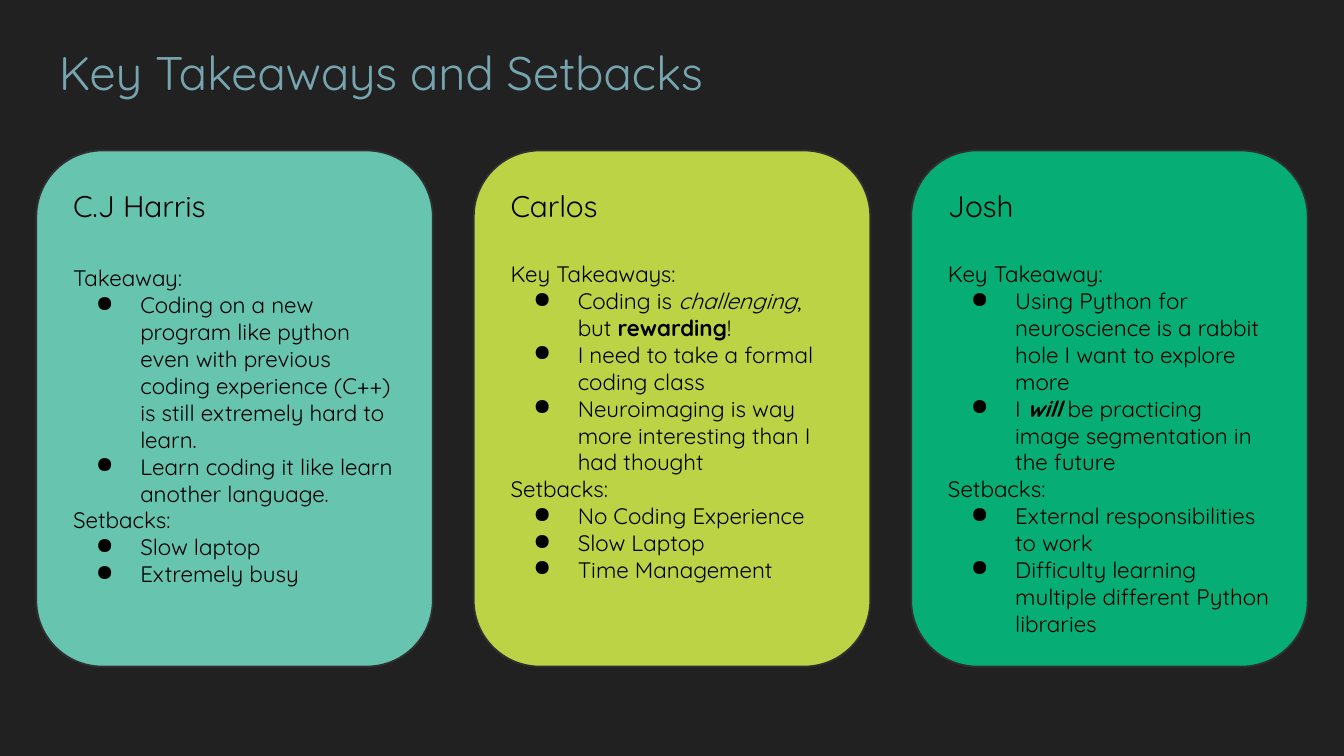
from lxml import etree
from pptx import Presentation
from pptx.dml.color import RGBColor
from pptx.enum import shapes, text
from pptx.oxml.ns import qn
from pptx.util import Inches, Pt

FONT = "Quicksand"
TITLE = "Key Takeaways and Setbacks"
# Each bullet is a list of (text, style) runs; style holds "b" and/or "i".
CARDS = [
    dict(name="C.J Harris", fill="66C4AF", gap=22.25, sections=[
        ("Takeaway:", [
            [("Coding on a new program like python even with previous "
              "coding experience (C++) is still extremely hard to learn.", "")],
            [("Learn coding it like learn another language.", "")]]),
        ("Setbacks:", [[("Slow laptop", "")], [("Extremely busy", "")]])]),
    dict(name="Carlos", fill="BCD345", gap=20, sections=[
        ("Key Takeaways:", [
            [("Coding is ", ""), ("challenging", "i"), (", but ", ""),
             ("rewarding", "b"), ("!", "")],
            [("I need to take a formal coding class", "")],
            [("Neuroimaging is way more interesting than I had thought", "")]]),
        ("Setbacks:", [[("No Coding Experience", "")], [("Slow Laptop", "")],
                       [("Time Management", "")]])]),
    dict(name="Josh", fill="06AE76", gap=20, sections=[
        ("Key Takeaway:", [
            [("Using Python for neuroscience is a rabbit hole "
              "I want to explore more", "")],
            [("I ", ""), ("will ", "bi"),
             ("be practicing image segmentation in the future", "")]]),
        ("Setbacks:", [
            [("External responsibilities to work", "")],
            [("Difficulty learning multiple different Python libraries", "")]])]),
]
LEFT, TOP, WIDTH, HEIGHT, PITCH = 0.27, 1.12, 2.95, 3.84, 3.255


def rgb(color):
    return RGBColor.from_string(color)


def setup_frame(tf, inset):
    tf.word_wrap = True
    tf.vertical_anchor = text.MSO_ANCHOR.TOP
    tf.margin_left = tf.margin_right = Inches(inset)
    tf.margin_top = tf.margin_bottom = Inches(inset)


def add_paragraph(tf, runs, size, color="000000", bullet=False, before=0):
    """Fill the empty first paragraph, or append a new one."""
    first = tf.paragraphs[0]
    p = tf.add_paragraph() if first.runs else first
    p.alignment = text.PP_ALIGN.LEFT
    if before:
        p.space_before = Pt(before)
    if bullet:
        pPr = p._p.get_or_add_pPr()
        pPr.set("marL", str(Inches(0.5)))
        pPr.set("indent", str(Inches(-0.33)))
        buClr = etree.SubElement(pPr, qn("a:buClr"))
        etree.SubElement(buClr, qn("a:srgbClr"), val=color)
        etree.SubElement(pPr, qn("a:buChar"), char="●")
    for words, style in runs:
        r = p.add_run()
        r.text = words
        r.font.name, r.font.size = FONT, Pt(size)
        r.font.color.rgb = rgb(color)
        r.font.bold, r.font.italic = "b" in style, "i" in style


def add_card(s, x, card):
    sp = s.shapes.add_shape(shapes.MSO_SHAPE.ROUNDED_RECTANGLE,
                            Inches(x), Inches(TOP), Inches(WIDTH), Inches(HEIGHT))
    sp.shadow.inherit = False
    sp.fill.solid()
    sp.fill.fore_color.rgb = rgb(card["fill"])
    sp.line.color.rgb = rgb("303030")
    sp.line.width = Pt(0.95)
    tf = sp.text_frame
    setup_frame(tf, 0.13)
    add_paragraph(tf, [(card["name"], "")], 16)
    for i, (heading, bullets) in enumerate(card["sections"]):
        add_paragraph(tf, [(heading, "")], 12, before=0 if i else card["gap"])
        for runs in bullets:
            add_paragraph(tf, runs, 12, bullet=True)


prs = Presentation()
prs.slide_width, prs.slide_height = Inches(10), Inches(5.625)
s = prs.slides.add_slide(prs.slide_layouts[6])
s.background.fill.solid()
s.background.fill.fore_color.rgb = rgb("212121")

title = s.shapes.add_textbox(Inches(0.34), Inches(0.22), Inches(9.32), Inches(0.63))
setup_frame(title.text_frame, 0.1)
add_paragraph(title.text_frame, [(TITLE, "")], 25.2, "76A5AF")

for i, card in enumerate(CARDS):
    add_card(s, LEFT + i * PITCH, card)

prs.save("out.pptx")
